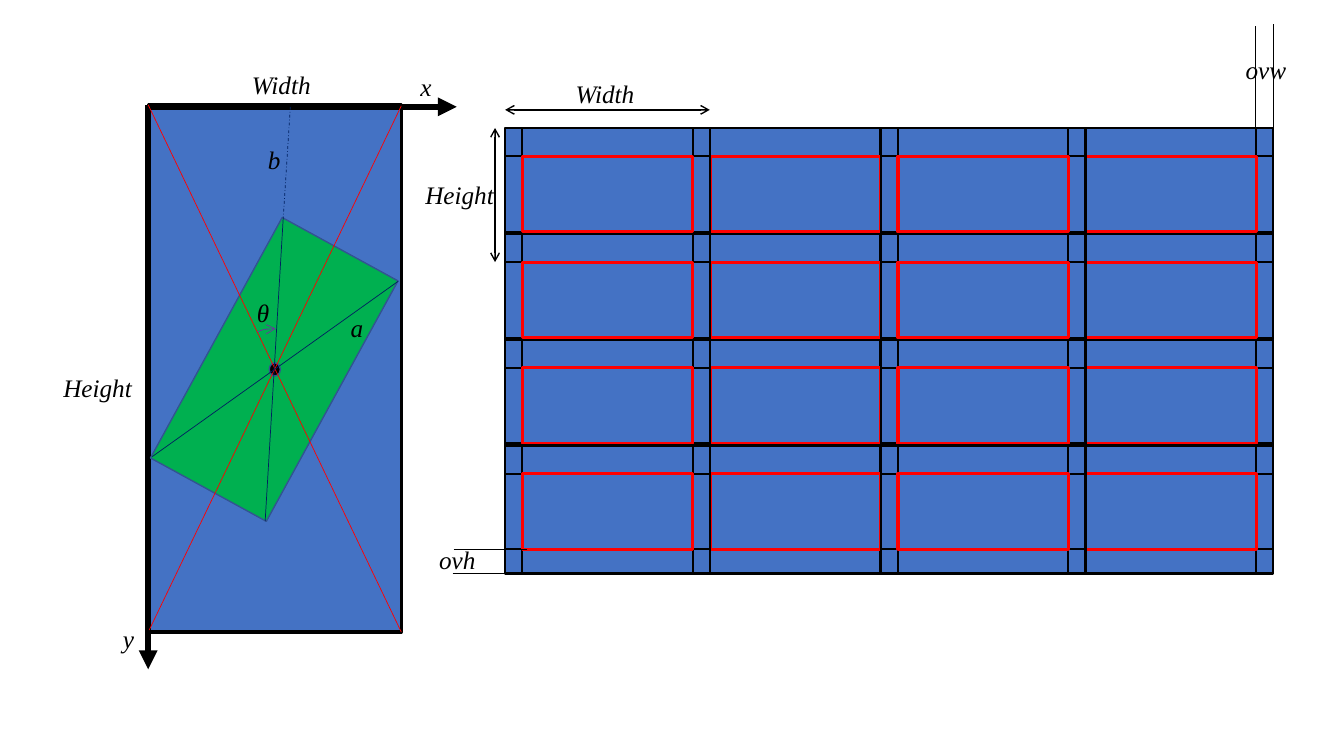
from lxml.etree import SubElement
from pptx import Presentation
from pptx.dml.color import RGBColor
from pptx.enum.dml import MSO_LINE
from pptx.enum.shapes import MSO_CONNECTOR, MSO_SHAPE
from pptx.enum.text import MSO_AUTO_SIZE, PP_ALIGN
from pptx.oxml.ns import qn
from pptx.util import Inches, Pt

# Content: places are in grid steps, 1333 columns by 750 rows
COLS, ROWS = 1333, 750
FONT = "Times New Roman"
HUE = {"black": "000000", "blue": "4472C4", "green": "00B050", "edge": "325491",
       "red": "FF0000", "navy": "002060", "violet": "7030A0"}

AXES = [((147, 104), (147, 664)), ((146, 106), (453, 106))]
RAYS = [  # from, to, colour, dash
    ((147, 104), (398, 627), "red", None),
    ((398, 105), (148, 625), "red", None),
    ((281, 215), (263, 517), "navy", None),
    ((395, 279), (151, 453), "navy", None),
    ((288, 106), (281, 215), "navy", MSO_LINE.DASH_DOT),
]
LABELS = [  # text, left, top, width
    ("x", 407, 66, 26), ("y", 112, 613, 26), ("Width", 240, 64, 83),
    ("Height", 53, 364, 93), ("a", 338, 305, 26), ("b", 256, 138, 26),
    ("θ", 245, 290, 26),
]
TILE = (203, 127)                 # full tile, overlap included
MARGIN = (17, 28, 17, 24)         # left, top, right, bottom overlap
FIELD = (501, 127, 1263, 569)     # left, top, right, bottom of all tiles
COUNT = 4                         # tiles each way
ORDER = (1, 0, 3, 2)              # columns, back to front
SPANS = [((491, 127), (491, 260)), ((501, 109), (704, 109))]
MARKS = [((1245, 130), (1245, 26)), ((1263, 129), (1263, 24)),
         ((449, 569), (522, 569)), ((450, 545), (523, 545))]
NOTES = [  # text, left, top, width, alignment
    ("Height", 412, 173, 93, PP_ALIGN.LEFT), ("Width", 561, 73, 83, PP_ALIGN.LEFT),
    ("ovw", 1214, 49, 83, PP_ALIGN.CENTER), ("ovh", 412, 535, 83, PP_ALIGN.CENTER),
]

deck = Presentation()
deck.slide_width, deck.slide_height = Inches(13.33), Inches(7.5)
slide = deck.slides.add_slide(deck.slide_layouts[6])


def px(x):
    return round(deck.slide_width * x / COLS)


def py(y):
    return round(deck.slide_height * y / ROWS)


def place(x, y, w, h):
    return px(x), py(y), px(w), py(h)


def ink(item, hue, size, head=None, tail=None):
    """Set the line of a shape or connector, with its arrowheads."""
    item.line.color.rgb = RGBColor.from_string(HUE[hue])
    item.line.width = Pt(size)
    for tag, kind in (("a:headEnd", head), ("a:tailEnd", tail)):
        if kind:
            SubElement(item.line._get_or_add_ln(), qn(tag), type=kind)


def stroke(on, start, end, hue="black", size=1, dash=None, **heads):
    item = on.shapes.add_connector(MSO_CONNECTOR.STRAIGHT, px(start[0]), py(start[1]),
                                   px(end[0]), py(end[1]))
    if dash:
        item.line.dash_style = dash
    ink(item, hue, size, **heads)
    SubElement(item._element.spPr, qn("a:effectLst"))


def shape(on, box, fill, hue, size, kind=MSO_SHAPE.RECTANGLE, turn=0, tail=None):
    item = on.shapes.add_shape(kind, *place(*box))
    item.shadow.inherit = False
    item.rotation = turn
    if fill:
        item.fill.solid()
        item.fill.fore_color.rgb = RGBColor.from_string(HUE[fill])
    else:
        item.fill.background()
    ink(item, hue, size, tail=tail)
    return item


def write(on, text, x, y, w, h=40, align=PP_ALIGN.LEFT, size=18, hue="black"):
    frame = on.shapes.add_textbox(*place(x, y, w, h)).text_frame
    frame.word_wrap = True
    frame.auto_size = MSO_AUTO_SIZE.SHAPE_TO_FIT_TEXT
    para = frame.paragraphs[0]
    para.alignment = align
    run = para.add_run()
    run.text = text
    run.font.name, run.font.size, run.font.italic = FONT, Pt(size), True
    run.font.color.rgb = RGBColor.from_string(HUE[hue])


def tile(on, x, y):
    """One tile: its frame, four overlap lines and the inner red core."""
    w, h = TILE
    left, top, right, low = x + MARGIN[0], y + MARGIN[1], x + w - MARGIN[2], y + h - MARGIN[3]
    shape(on, (x, y, w, h), "blue", "black", 1.5)
    for row in (top, low):
        stroke(on, (x, row), (x + w, row), size=1.5)
    for col in (left, right):
        stroke(on, (col, y + h), (col, y), size=1.5)
    shape(on, (left, top, right - left, low - top), "blue", "red", 2.25)


# Left: one image with the turned box inside it
view = slide.shapes.add_group_shape()
shape(view, (11, 240, 523, 251), "blue", "black", 2.25, turn=90)
for start, end in AXES:
    stroke(view, start, end, size=4.5, tail="triangle")
shape(view, (136, 301, 272, 131), "green", "edge", 1, turn=118.7)
shape(view, (266, 361, 13, 11), "black", "edge", 1, kind=MSO_SHAPE.OVAL, turn=90)
for start, end, hue, dash in RAYS:
    stroke(view, start, end, hue, 0.5, dash)
angle = shape(view, (233, 326, 75, 75), None, "violet", 0.5, kind=MSO_SHAPE.ARC, tail="arrow")
angle.adjustments[0], angle.adjustments[1] = 147.54, 164.69
for label in LABELS:
    write(view, *label)

# Right: the overlapping tiles, drawn two columns at a time
field = slide.shapes.add_group_shape()
step = [(FIELD[i + 2] - FIELD[i] - TILE[i]) / (COUNT - 1) for i in (0, 1)]
for pair in (ORDER[:2], ORDER[2:]):
    for row in range(COUNT):
        for col in pair:
            tile(field, FIELD[0] + col * step[0], FIELD[1] + row * step[1])

# Measures around the tiles
for start, end in SPANS:
    stroke(slide, start, end, head="arrow", tail="arrow")
for text, x, y, w, align in NOTES:
    write(slide, text, x, y, w, align=align)
for start, end in MARKS:
    stroke(slide, start, end)

deck.save("out.pptx")
